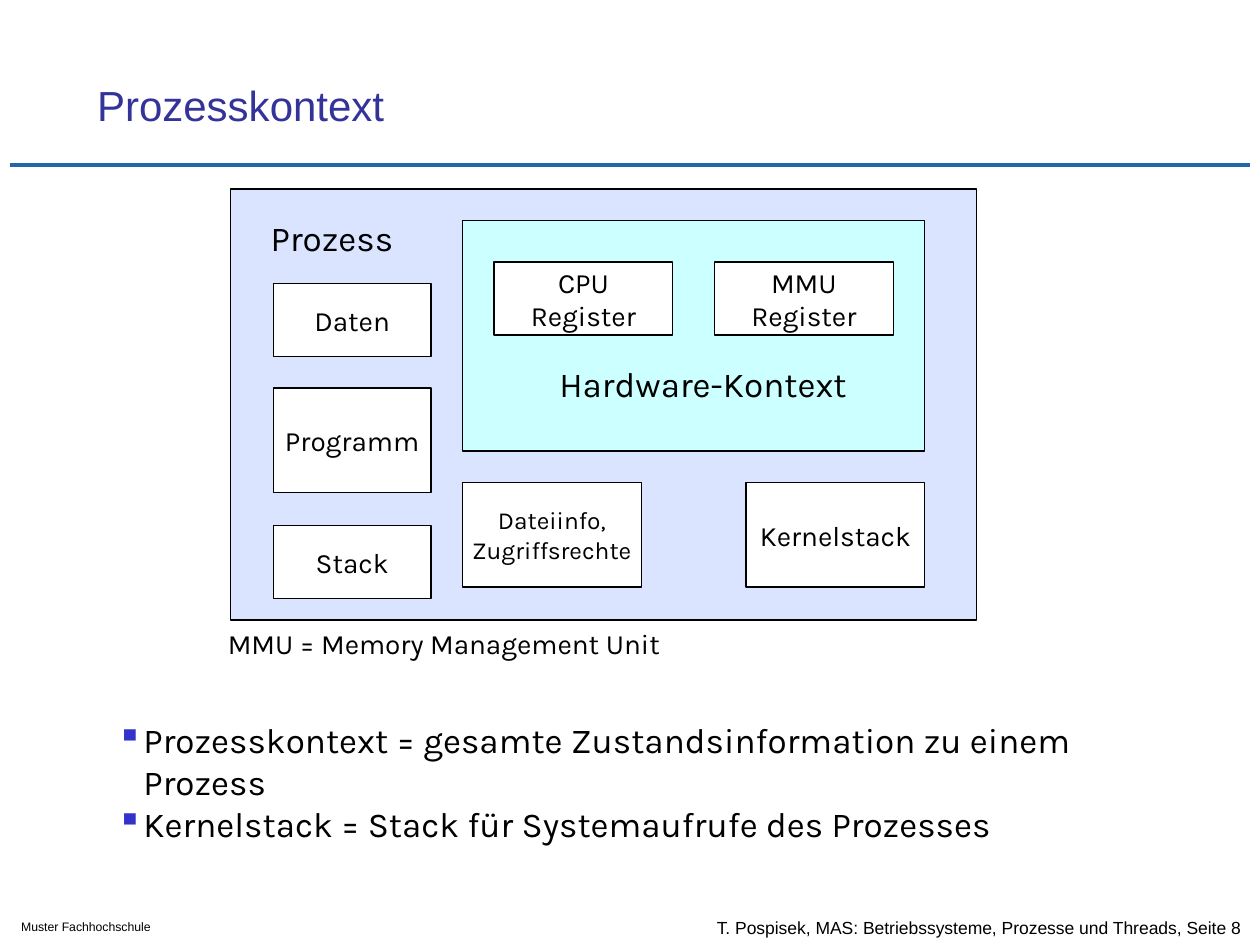
from lxml import etree
from pptx import Presentation
from pptx.dml.color import RGBColor
from pptx.enum.shapes import MSO_CONNECTOR, MSO_SHAPE
from pptx.enum.text import MSO_ANCHOR, MSO_AUTO_SIZE, PP_ALIGN
from pptx.oxml.ns import qn
from pptx.util import Inches, Pt

RECTANGLE = MSO_SHAPE.RECTANGLE
STRAIGHT = MSO_CONNECTOR.STRAIGHT
MIDDLE, TOP, BOTTOM = MSO_ANCHOR.MIDDLE, MSO_ANCHOR.TOP, MSO_ANCHOR.BOTTOM
CENTER, LEFT = PP_ALIGN.CENTER, PP_ALIGN.LEFT
NO_AUTOFIT = MSO_AUTO_SIZE.NONE

COLORS = {
    "text": "000000",
    "title": "333399",
    "rule": "2266AB",
    "bullet": "3333CC",
    "process": "DAE4FF",
    "hardware": "CCFFFF",
    "box": "FFFFFF",
}


def color(name):
    return RGBColor.from_string(COLORS[name])


def write(shape, text, size, font="Karla", ink="text", align=LEFT, anchor=TOP, wrap=False):
    frame = shape.text_frame
    frame.text = text
    frame.word_wrap = wrap
    frame.auto_size = NO_AUTOFIT
    frame.vertical_anchor = anchor
    frame.margin_left = frame.margin_right = Inches(0.1)
    frame.margin_top = frame.margin_bottom = Inches(0.05)
    for para in frame.paragraphs:
        para.alignment = align
        for span in para.runs:
            span.font.size = Pt(size)
            span.font.name = font
            span.font.color.rgb = color(ink)


deck = Presentation()
deck.slide_width, deck.slide_height = Inches(10), Inches(7.5)
page = deck.slides.add_slide(deck.slide_layouts[5])

title = page.shapes.title
title.left, title.top = Inches(0.67), Inches(0.33)
title.width, title.height = Inches(8.52), Inches(0.75)
write(title, "Prozesskontext", 24, "Arial", "title", anchor=BOTTOM, wrap=True)

rule = page.shapes.add_connector(STRAIGHT, Inches(0.08), Inches(1.31), Inches(9.92), Inches(1.31))
rule.line.color.rgb = color("rule")
rule.line.width = Pt(2.5)
etree.SubElement(rule._element.spPr, qn("a:effectLst"))

rectangles = [
    (1.83, 1.5, 5.92, 3.42, "process", "", 16),
    (3.67, 1.75, 3.67, 1.83, "hardware", "", 16),
    (2.17, 2.25, 1.25, 0.58, "box", "Daten", 16),
    (2.17, 3.08, 1.25, 0.83, "box", "Programm", 16),
    (2.17, 4.17, 1.25, 0.58, "box", "Stack", 16),
    (3.92, 2.08, 1.42, 0.58, "box", "CPU\nRegister", 16),
    (5.67, 2.08, 1.42, 0.58, "box", "MMU\nRegister", 16),
    (3.67, 3.83, 1.42, 0.83, "box", "Dateiinfo,\nZugriffsrechte", 14),
    (5.92, 3.83, 1.42, 0.83, "box", "Kernelstack", 16),
]
for left, top, width, height, fill, text, size in rectangles:
    box = page.shapes.add_shape(RECTANGLE, Inches(left), Inches(top), Inches(width), Inches(height))
    box.shadow.inherit = False
    box.fill.solid()
    box.fill.fore_color.rgb = color(fill)
    box.line.color.rgb = color("text")
    box.line.width = Pt(0.75)
    if text:
        write(box, text, size, align=CENTER, anchor=MIDDLE)

labels = [
    (2.05, 1.67, 1.2, 0.43, "Prozess", 20, "Karla", TOP),
    (4.34, 2.83, 2.58, 0.43, "Hardware-Kontext", 20, "Karla", TOP),
    (1.71, 4.92, 3.83, 0.37, "MMU = Memory Management Unit", 16, "Karla", TOP),
    (0.07, 7.25, 1.72, 0.22, "Muster Fachhochschule", 7, "Arial", TOP),
    (5.59, 7.2, 5.29, 0.33, "T. Pospisek, MAS: Betriebssysteme, Prozesse und Threads, Seite 8",
     10, "Arial", MIDDLE),
]
for left, top, width, height, text, size, font, anchor in labels:
    label = page.shapes.add_textbox(Inches(left), Inches(top), Inches(width), Inches(height))
    write(label, text, size, font, anchor=anchor, wrap=font == "Arial")

notions = [
    "Prozesskontext = gesamte Zustandsinformation zu einem Prozess",
    "Kernelstack = Stack für Systemaufrufe des Prozesses",
]
summary = page.shapes.add_textbox(Inches(0.83), Inches(5.65), Inches(8.58), Inches(1.1))
write(summary, "\n".join(notions), 20, wrap=True)
for para in summary.text_frame.paragraphs:
    properties = para._p.get_or_add_pPr()
    properties.set("marL", str(Inches(0.21)))
    properties.set("indent", str(Inches(-0.21)))
    bullet_color = etree.SubElement(properties, qn("a:buClr"))
    etree.SubElement(bullet_color, qn("a:srgbClr"), val=COLORS["bullet"])
    etree.SubElement(properties, qn("a:buChar"), char="▪")

deck.save("out.pptx")
